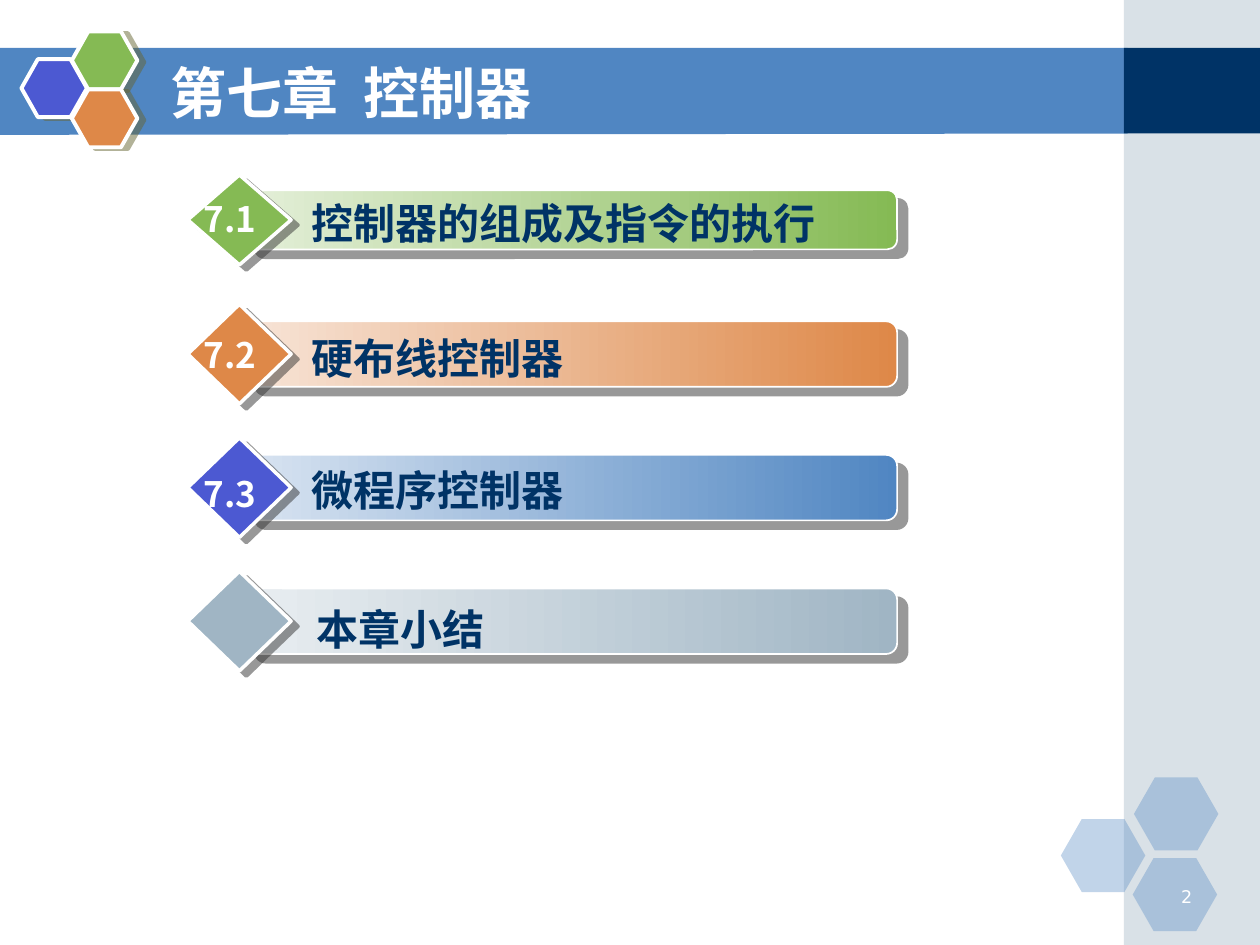
from dataclasses import dataclass

from lxml.etree import SubElement
from pptx import Presentation
from pptx.dml.color import RGBColor
from pptx.enum.shapes import MSO_SHAPE as Shape
from pptx.enum.text import MSO_ANCHOR as Anchor, MSO_AUTO_SIZE as AutoSize, PP_ALIGN as Align
from pptx.oxml.ns import qn
from pptx.util import Inches, Pt


@dataclass(frozen=True)
class Theme:
    blue: str = "5086C2"
    navy: str = "003366"
    violet: str = "4C59D2"
    green: str = "85BA54"
    orange: str = "DE8848"
    gray: str = "A0B5C4"
    white: str = "FFFFFF"
    pale_green: str = "E4EFD9"
    pale_orange: str = "F7E4D7"
    pale_blue: str = "D9E4F1"
    pale_gray: str = "E9EEF1"
    olive_shadow: str = "666633"
    dark_shadow: str = "333333"
    font: str = "Noto Sans CJK SC"
    number_font: str = "DejaVu Sans"
    title_size: int = 32
    label_size: int = 24
    badge_size: int = 20
    page_size: int = 10


def add_span(para, text, *, font, size, color, bold=True, spacing=0):
    """Add a run; spacing is extra character spacing in points."""
    span = para.add_run()
    span.text = text
    span.font.size = Pt(size)
    span.font.bold = bold
    span.font.color.rgb = RGBColor.from_string(color)
    span.font.name = font
    properties = span.font._element
    SubElement(properties, qn("a:ea")).set("typeface", font)
    if spacing:
        properties.set("spc", str(round(spacing * 100)))


def set_alpha(color_element, percent):
    SubElement(color_element, qn("a:alpha")).set("val", str(percent * 1000))


class SlideBuilder:
    def __init__(self, slide, theme):
        self.slide = slide
        self.theme = theme

    def style(self, shape, fill, *, alpha=None, line=None, shadow=None):
        """Fill is one colour or a (right, left) gradient pair; shadow is (colour, points, degrees)."""
        shape.shadow.inherit = False
        if isinstance(fill, tuple):
            shape.fill.gradient()
            shape.fill.gradient_angle = 180
            for stop, color in zip(shape.fill.gradient_stops, fill):
                stop.color.rgb = RGBColor.from_string(color)
        else:
            shape.fill.solid()
            shape.fill.fore_color.rgb = RGBColor.from_string(fill)
        properties = shape._element.spPr
        if alpha:
            set_alpha(properties.find(qn("a:solidFill")).find(qn("a:srgbClr")), alpha)
        if line:
            shape.line.color.rgb = RGBColor.from_string(self.theme.white)
            shape.line.width = Pt(line)
        else:
            shape.line.fill.background()
        if shadow:
            color, distance, angle = shadow
            outer = SubElement(properties.find(qn("a:effectLst")), qn("a:outerShdw"))
            outer.set("dist", str(Pt(distance)))
            outer.set("dir", str(angle * 60000))
            outer.set("algn", "ctr")
            outer.set("rotWithShape", "0")
            tint = SubElement(outer, qn("a:srgbClr"))
            tint.set("val", color)
            set_alpha(tint, 50)

    def shape(self, kind, left, top, width, height, fill, *, adjust=None, **look):
        shape = self.slide.shapes.add_shape(
            kind, Inches(left), Inches(top), Inches(width), Inches(height))
        if adjust:
            shape.adjustments[0] = adjust
        self.style(shape, fill, **look)

    def freeform(self, points, fill):
        corners = [(Inches(x), Inches(y)) for x, y in points]
        builder = self.slide.shapes.build_freeform(*corners[0])
        builder.add_line_segments(corners[1:], close=True)
        self.style(builder.convert_to_shape(), fill)

    def title(self, parts, left, top, width, height):
        """Fill the title with two parts and a widened space between them."""
        title = self.slide.shapes.title
        title.left, title.top = Inches(left), Inches(top)
        title.width, title.height = Inches(width), Inches(height)
        frame = title.text_frame
        frame.auto_size = AutoSize.NONE
        frame.vertical_anchor = Anchor.MIDDLE
        para = frame.paragraphs[0]
        para.alignment = Align.LEFT
        look = dict(font=self.theme.font, size=self.theme.title_size, color=self.theme.white)
        add_span(para, parts[0], **look)
        add_span(para, " ", spacing=7.2, **look)
        add_span(para, parts[1], **look)
        self.slide.shapes._spTree.append(title._element)  # bring above the band

    def text(self, text, left, top, width, height, *, margin=0.1, align=Align.LEFT,
             font=None, **look):
        box = self.slide.shapes.add_textbox(
            Inches(left), Inches(top), Inches(width), Inches(height))
        frame = box.text_frame
        frame.word_wrap = True
        frame.margin_left = Inches(margin)
        para = frame.paragraphs[0]
        para.alignment = align
        add_span(para, text, font=font or self.theme.font, **look)


def add_frame(page, theme):
    page.freeform([(-0.01, 0.38), (8.95, 0.38), (8.95, 1.06), (-0.01, 1.07)], theme.blue)
    page.shape(Shape.RECTANGLE, 8.92, 0, 1.08, 7.5, theme.gray, alpha=40)
    page.shape(Shape.RECTANGLE, 8.92, 0.38, 1.08, 0.68, theme.navy)
    for left, top in ((8.42, 6.5), (9, 6.17), (8.99, 6.81)):
        page.shape(Shape.HEXAGON, left, top, 0.67, 0.58, theme.blue, alpha=35, adjust=0.286)
    for left, top, color in ((0.17, 0.47, theme.violet), (0.57, 0.25, theme.green),
                             (0.57, 0.71, theme.orange)):
        page.shape(Shape.HEXAGON, left, top, 0.52, 0.46, color, adjust=0.283,
                   line=2.25, shadow=(theme.olive_shadow, 4.1, 14))


def add_section(page, theme, bar, badge_color, gradient, label, number=None):
    """Draw a bar and its diamond; bar is (top, height), label and number end with their tops."""
    top, height = bar
    badge_height = 1.52 * height
    page.shape(Shape.ROUNDED_RECTANGLE, 1.94, top, 5.18, height, gradient, adjust=0.167,
               line=1, shadow=(theme.dark_shadow, 7.8, 40))
    page.shape(Shape.DIAMOND, 1.49, top + (height - badge_height) / 2, 0.82, badge_height,
               badge_color, line=2, shadow=(theme.dark_shadow, 5, 37))
    text, left, label_top = label
    page.text(text, left, label_top, 4.75, 0.5, margin=0.25,
              size=theme.label_size, color=theme.navy)
    if number:
        text, number_top = number
        page.text(text, 1.52, number_top, 0.88, 0.44,
                  size=theme.badge_size, color=theme.white)


def main():
    theme = Theme()
    deck = Presentation()
    deck.slide_width, deck.slide_height = Inches(10), Inches(7.5)
    page = SlideBuilder(deck.slides.add_slide(deck.slide_layouts[5]), theme)

    add_frame(page, theme)
    page.title(("第七章", "控制器"), 1.25, 0.42, 7.33, 0.62)
    sections = [
        ((1.51, 0.47), theme.green, (theme.green, theme.pale_green),
         ("控制器的组成及指令的执行", 2.22, 1.52), ("7.1", 1.52)),
        ((2.55, 0.52), theme.orange, (theme.orange, theme.pale_orange),
         ("硬布线控制器", 2.22, 2.59), ("7.2", 2.6)),
        ((3.61, 0.52), theme.violet, (theme.blue, theme.pale_blue),
         ("微程序控制器", 2.22, 3.64), ("7.3", 3.7)),
        ((4.67, 0.52), theme.gray, (theme.gray, theme.pale_gray),
         ("本章小结", 2.26, 4.74)),
    ]
    for section in sections:
        add_section(page, theme, *section)
    page.text("2", 9.06, 6.98, 0.5, 0.25, align=Align.RIGHT, font=theme.number_font,
              size=theme.page_size, color=theme.white, bold=False)
    deck.save("out.pptx")


if __name__ == "__main__":
    main()
